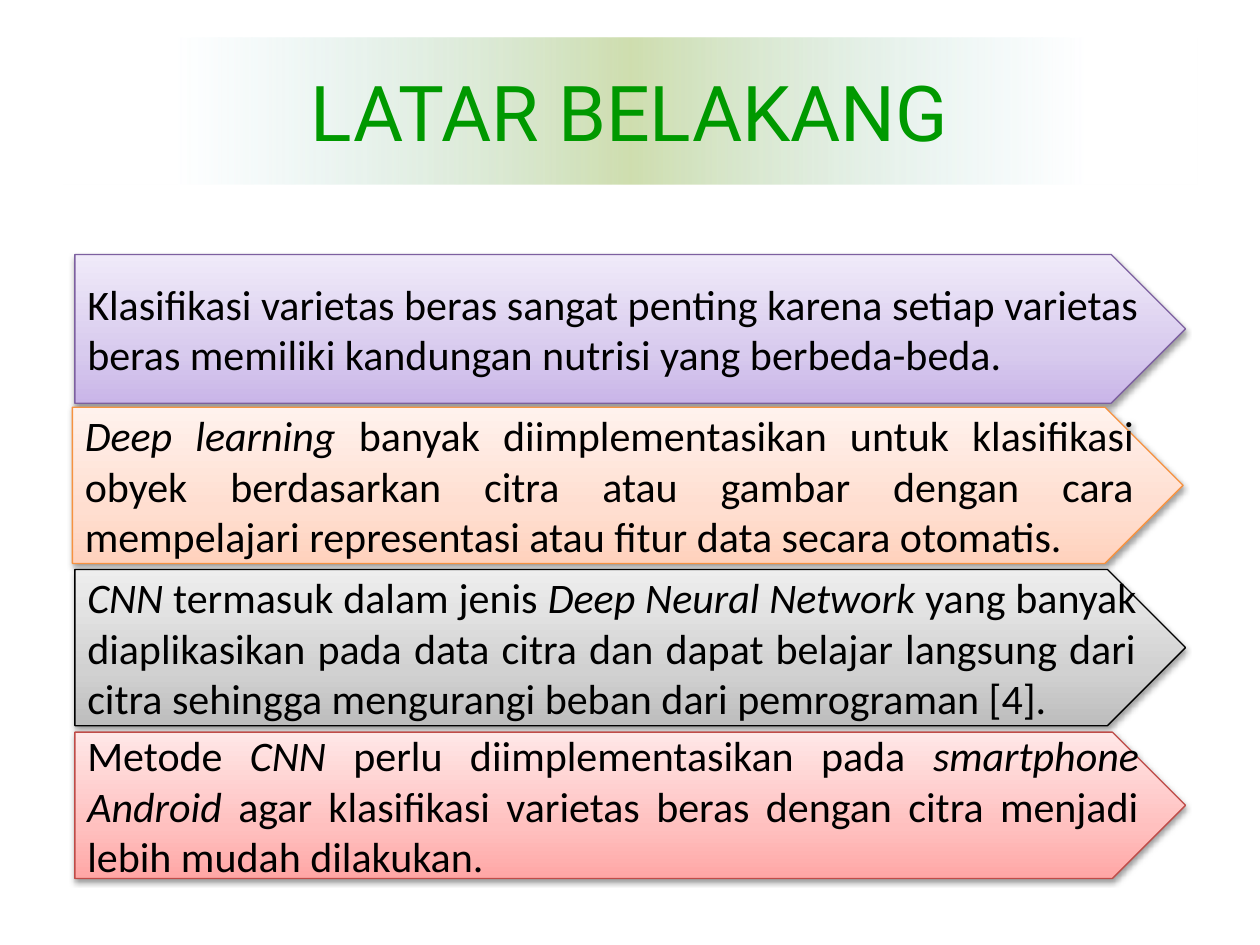
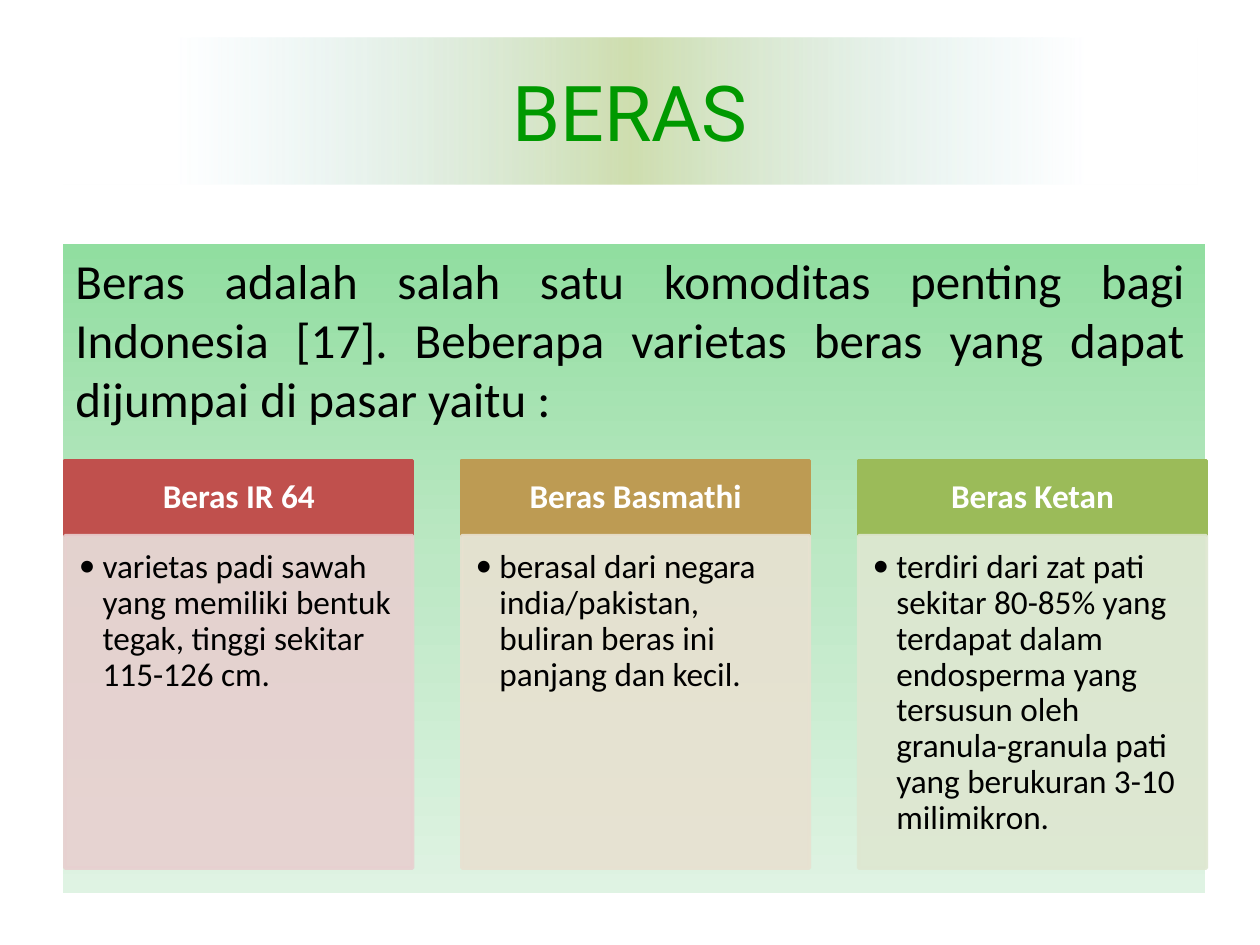
from lxml.etree import SubElement
from pptx import Presentation
from pptx.dml.color import RGBColor
from pptx.enum.shapes import MSO_SHAPE
from pptx.enum.text import MSO_ANCHOR, MSO_AUTO_SIZE, PP_ALIGN
from pptx.oxml.ns import qn
from pptx.util import Cm, Pt

# Shared colours and fonts
BLACK = RGBColor(0x00, 0x00, 0x00)
WHITE = RGBColor(0xFF, 0xFF, 0xFF)
TITLE_GREEN = RGBColor(0x00, 0x99, 0x00)
BAND_BLUE = RGBColor(0xB7, 0xDE, 0xE8)
BAND_GREEN = RGBColor(0xC3, 0xD6, 0x9B)
PANEL_GREENS = [RGBColor(0x91, 0xDE, 0xA0), RGBColor(0xBD, 0xE8, 0xC5),
                RGBColor(0xDF, 0xF3, 0xE3)]
PURPLES = [RGBColor(0xC9, 0xB5, 0xE8), RGBColor(0xD8, 0xCB, 0xEE),
           RGBColor(0xF0, 0xEA, 0xF9)]
ORANGES = [RGBColor(0xFF, 0xD2, 0xBD), RGBColor(0xFF, 0xDE, 0xD0),
           RGBColor(0xFF, 0xF2, 0xED)]
GREYS = [RGBColor(0xBD, 0xBD, 0xBD), RGBColor(0xD1, 0xD1, 0xD1),
         RGBColor(0xEE, 0xEE, 0xEE)]
REDS = [RGBColor(0xFF, 0xA6, 0xA5), RGBColor(0xFF, 0xC0, 0xBF),
        RGBColor(0xFF, 0xE7, 0xE7)]
PURPLE_EDGE = RGBColor(0x7D, 0x60, 0xA0)
ORANGE_EDGE = RGBColor(0xF6, 0x92, 0x40)
RED_EDGE = RGBColor(0xBF, 0x4C, 0x48)
RED, RED_TINT = RGBColor(0xC0, 0x50, 0x4D), RGBColor(0xE8, 0xD0, 0xD0)
GOLD, GOLD_TINT = RGBColor(0xBD, 0x9B, 0x53), RGBColor(0xE8, 0xE1, 0xD1)
LIME, LIME_TINT = RGBColor(0x9B, 0xBB, 0x59), RGBColor(0xDE, 0xE7, 0xD1)
TITLE_FONT, TEXT_FONT = "Roboto", "Calibri"

# Arrows: left, top, height (cm), gradient, edge, text with *italic* parts
ARROWS = [
    (1.51, 5.13, 3.0, PURPLES, PURPLE_EDGE,
     "Klasifikasi varietas beras sangat penting karena setiap varietas beras "
     "memiliki kandungan nutrisi yang berbeda-beda."),
    (1.46, 8.21, 3.15, ORANGES, ORANGE_EDGE,
     "*Deep learning* banyak diimplementasikan untuk klasifikasi obyek "
     "berdasarkan citra atau gambar dengan cara mempelajari representasi "
     "atau fitur data secara otomatis."),
    (1.51, 11.48, 3.15, GREYS, BLACK,
     "*CNN* termasuk dalam jenis *Deep Neural Network *yang banyak "
     "diaplikasikan pada data citra dan dapat belajar langsung dari citra "
     "sehingga mengurangi beban dari pemrograman [4]."),
    (1.51, 14.76, 2.95, REDS, RED_EDGE,
     "Metode *CNN* perlu diimplementasikan pada *smartphone Android* agar "
     "klasifikasi varietas beras dengan citra menjadi lebih mudah dilakukan."),
]
INTRO = ("Beras adalah salah satu komoditas penting bagi Indonesia [17]. "
         "Beberapa varietas beras yang dapat dijumpai di pasar yaitu :")
VARIETIES = [
    ("Beras IR 64", RED, RED_TINT,
     "varietas padi sawah yang memiliki bentuk tegak, tinggi sekitar "
     "115-126 cm."),
    ("Beras Basmathi", GOLD, GOLD_TINT,
     "berasal dari negara india/pakistan, buliran beras ini panjang dan "
     "kecil."),
    ("Beras Ketan", LIME, LIME_TINT,
     "terdiri dari zat pati sekitar 80-85% yang terdapat dalam endosperma "
     "yang tersusun oleh granula-granula pati yang berukuran 3-10 "
     "milimikron."),
]


def write(shape, text, size=24, font=TEXT_FONT, color=BLACK, bold=False,
          align=PP_ALIGN.JUSTIFY, anchor=MSO_ANCHOR.MIDDLE, spacing=None,
          insets=(0.25, 0.13, 0.25, 0.13), bullet=False):
    """Fill a shape with one paragraph; *...* marks italic parts."""
    frame = shape.text_frame
    frame.word_wrap = True
    frame.auto_size = MSO_AUTO_SIZE.NONE
    frame.vertical_anchor = anchor
    (frame.margin_left, frame.margin_top,
     frame.margin_right, frame.margin_bottom) = map(Cm, insets)
    paragraph = frame.paragraphs[0]
    paragraph.alignment = align
    paragraph.space_before = Pt(0)
    paragraph.line_spacing = spacing
    properties = paragraph._p.get_or_add_pPr()
    indent = Cm(0.48) if bullet else 0
    properties.set("marL", str(indent))
    properties.set("indent", str(-indent))
    if bullet:
        SubElement(properties, qn("a:buFont"), typeface=font)
        SubElement(properties, qn("a:buChar"), char="•")
    else:
        SubElement(properties, qn("a:buNone"))
    for index, part in enumerate(text.split("*")):
        if part:
            run = paragraph.add_run()
            run.text = part
            run.font.name, run.font.size = font, Pt(size)
            run.font.bold, run.font.italic = bold, index % 2 == 1
            run.font.color.rgb = color


def place(shape, left, top, width, height):
    shape.left, shape.top = Cm(left), Cm(top)
    shape.width, shape.height = Cm(width), Cm(height)


def set_alpha(color_element, percent):
    SubElement(color_element, qn("a:alpha"), val=str(percent * 1000))


def fill_gradient(shape, stops, angle):
    """Linear gradient from (position %, colour, opacity %) stops."""
    shape.fill.gradient()
    gradient = shape._element.spPr.find(qn("a:gradFill"))
    for child in list(gradient):
        gradient.remove(child)
    stop_list = SubElement(gradient, qn("a:gsLst"))
    for position, color, opacity in stops:
        stop = SubElement(stop_list, qn("a:gs"), pos=str(position * 1000))
        rgb = SubElement(stop, qn("a:srgbClr"), val=str(color))
        if opacity < 100:
            set_alpha(rgb, opacity)
    SubElement(gradient, qn("a:lin"), ang=str(angle * 60000), scaled="0")


def add_plain_shape(slide, kind, left, top, width, height):
    shape = slide.shapes.add_shape(kind, Cm(left), Cm(top), Cm(width), Cm(height))
    shape.shadow.inherit = False
    return shape


def add_title(slide, text):
    title = slide.shapes.title
    place(title, 1.27, 0.76, 22.86, 2.96)
    fill_gradient(title, [(10, BAND_BLUE, 0), (50, BAND_GREEN, 80),
                          (90, BAND_BLUE, 0)], 0)
    write(title, text, size=44, font=TITLE_FONT, color=TITLE_GREEN,
          align=PP_ALIGN.CENTER)


def add_arrow(slide, left, top, height, colors, edge, text):
    arrow = add_plain_shape(slide, MSO_SHAPE.PENTAGON, left, top, 22.39, height)
    fill_gradient(arrow, [(position, color, 100)
                          for position, color in zip((0, 35, 100), colors)], 270)
    arrow.line.color.rgb = edge
    arrow.line.width = Pt(0.75)
    effects = arrow._element.spPr.find(qn("a:effectLst"))
    shadow = SubElement(effects, qn("a:outerShdw"), blurRad=str(Pt(3.1)),
                        dist=str(Pt(1.6)), dir="5400000", rotWithShape="0")
    set_alpha(SubElement(shadow, qn("a:srgbClr"), val=str(BLACK)), 38)
    write(arrow, text, insets=(0.25, 0.13, 0.2, 0.13))


def add_panel_with_intro(slide, text):
    intro = slide.placeholders[1]
    place(intro, 1.27, 4.92, 22.86, 13.0)
    write(intro, text, size=28, anchor=MSO_ANCHOR.TOP)
    panel = add_plain_shape(slide, MSO_SHAPE.RECTANGLE, 1.27, 4.92, 23.02, 13.08)
    fill_gradient(panel, [(position, color, 100)
                          for position, color in zip((0, 50, 100), PANEL_GREENS)], 90)
    panel.line.fill.background()
    intro._element.addprevious(panel._element)  # panel lies behind the text


def add_box(slide, left, top, height, color, opacity=100):
    box = add_plain_shape(slide, MSO_SHAPE.RECTANGLE, left, top, 7.01, height)
    box.fill.solid()
    box.fill.fore_color.rgb = color
    box.line.color.rgb = color
    box.line.width = Pt(2)
    if opacity < 100:
        for rgb in box._element.spPr.iter(qn("a:srgbClr")):
            set_alpha(rgb, opacity)
    return box


def add_variety(slide, left, name, color, tint, description):
    header = add_box(slide, left, 9.28, 1.52, color)
    write(header, name, size=19, color=WHITE, bold=True, spacing=0.9,
          align=PP_ALIGN.CENTER, insets=(0.38, 0.2, 0.38, 0.2))
    details = add_box(slide, left, 10.8, 6.7, tint, opacity=90)
    write(details, description, size=19, spacing=0.9, align=PP_ALIGN.LEFT,
          anchor=MSO_ANCHOR.TOP, insets=(0.28, 0.28, 0.38, 0.43), bullet=True)


def main():
    deck = Presentation()
    deck.slide_width, deck.slide_height = Cm(25.4), Cm(19.05)

    # Background of the study
    background = deck.slides.add_slide(deck.slide_layouts[5])
    add_title(background, "LATAR BELAKANG")
    for arrow in ARROWS:
        add_arrow(background, *arrow)

    # Rice varieties
    rice = deck.slides.add_slide(deck.slide_layouts[1])
    add_title(rice, "BERAS")
    add_panel_with_intro(rice, INTRO)
    for column, variety in enumerate(VARIETIES):
        add_variety(rice, 1.31 + column * 8, *variety)

    deck.save("out.pptx")


if __name__ == "__main__":
    main()
